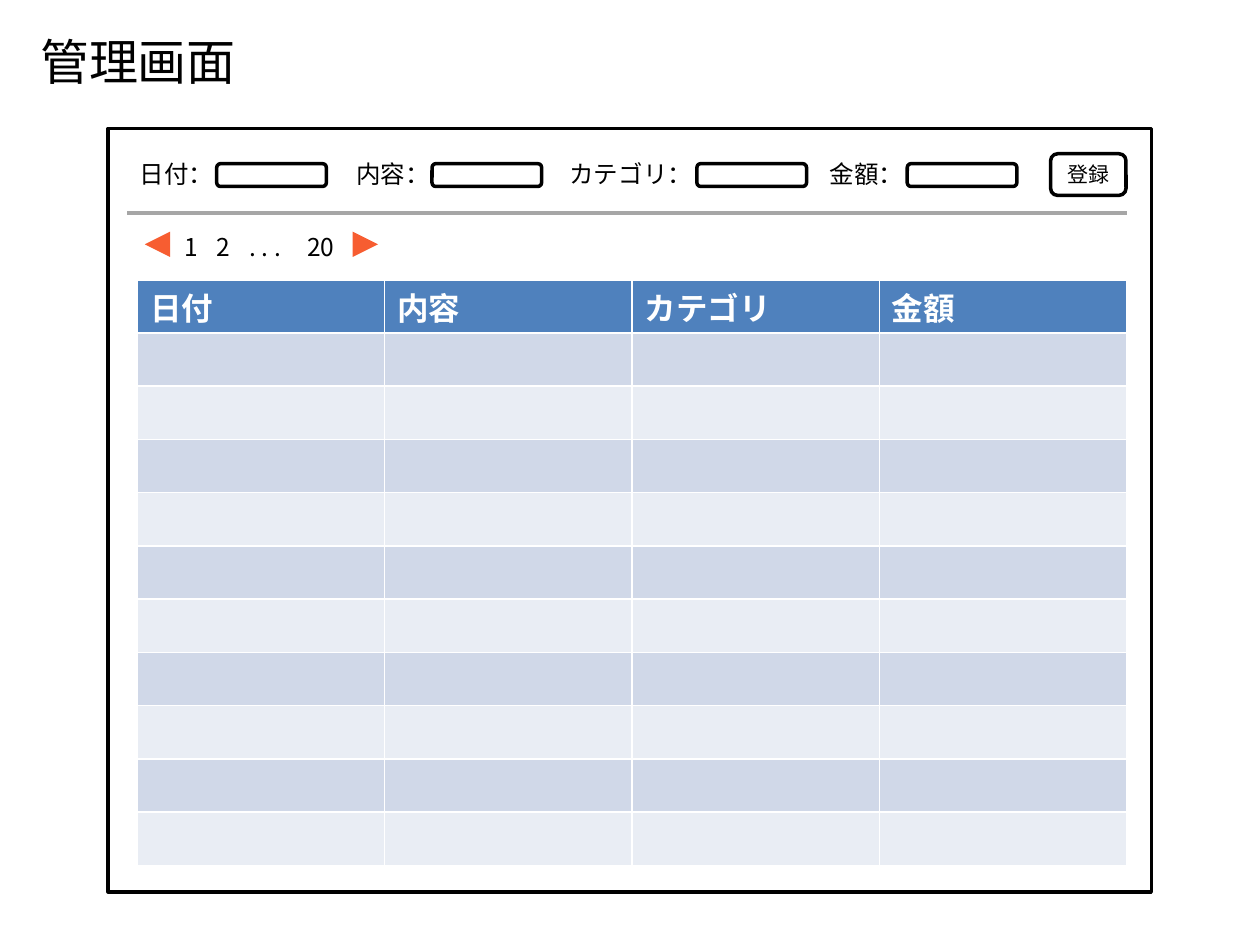
from pptx import Presentation
from pptx.dml.color import RGBColor
from pptx.enum.shapes import MSO_CONNECTOR, MSO_SHAPE
from pptx.enum.text import MSO_ANCHOR, PP_ALIGN
from pptx.oxml.ns import qn
from pptx.util import Cm, Pt

BLACK = RGBColor(0x00, 0x00, 0x00)
WHITE = RGBColor(0xFF, 0xFF, 0xFF)
GRAY = RGBColor(0xA6, 0xA6, 0xA6)
ORANGE = RGBColor(0xF7, 0x5D, 0x31)
HEADER_BLUE = RGBColor(0x4F, 0x81, 0xBD)
BANDS = (RGBColor(0xE9, 0xED, 0xF4), RGBColor(0xD0, 0xD8, 0xE8))

RECT = MSO_SHAPE.RECTANGLE
ROUNDED = MSO_SHAPE.ROUNDED_RECTANGLE
TRIANGLE = MSO_SHAPE.ISOSCELES_TRIANGLE
STRAIGHT = MSO_CONNECTOR.STRAIGHT
MIDDLE = MSO_ANCHOR.MIDDLE
CENTER = PP_ALIGN.CENTER


class Wireframe:
    """Draws screen elements on one page; all lengths are centimetres."""

    font = "Noto Sans CJK JP"
    line_width = Pt(2)

    def __init__(self, page):
        self.page = page

    def add_span(self, frame, text, size, color=BLACK, bold=False):
        para = frame.paragraphs[0]
        span = para.add_run()
        span.text = text
        span.font.name = self.font
        span.font.size = Pt(size)
        span.font.bold = bold
        span.font.color.rgb = color
        east_asian = span.font._element.makeelement(qn("a:ea"), {"typeface": self.font})
        span.font._element.find(qn("a:latin")).addnext(east_asian)
        return para

    def label(self, text, left, top, width, height=0.86, size=14):
        box = self.page.shapes.add_textbox(Cm(left), Cm(top), Cm(width), Cm(height))
        box.text_frame.word_wrap = False
        box.text_frame.vertical_anchor = MIDDLE
        self.add_span(box.text_frame, text, size)

    def outline(self, kind, left, top, width, height, text=None):
        shape = self.page.shapes.add_shape(kind, Cm(left), Cm(top), Cm(width), Cm(height))
        shape.shadow.inherit = False
        shape.fill.background()
        shape.line.color.rgb = BLACK
        shape.line.width = self.line_width
        if text:
            shape.text_frame.vertical_anchor = MIDDLE
            self.add_span(shape.text_frame, text, 12).alignment = CENTER

    def arrow(self, left, top, side, rotation):
        shape = self.page.shapes.add_shape(TRIANGLE, Cm(left), Cm(top), Cm(side), Cm(side))
        shape.shadow.inherit = False
        shape.rotation = rotation
        shape.fill.solid()
        shape.fill.fore_color.rgb = ORANGE
        shape.line.fill.background()

    def divider(self, left, right, top):
        line = self.page.shapes.add_connector(STRAIGHT, Cm(left), Cm(top), Cm(right), Cm(top))
        line.line.color.rgb = GRAY
        line.line.width = self.line_width
        properties = line._element.spPr
        properties.append(properties.makeelement(qn("a:effectLst"), {}))

    def table(self, headings, row_count, left, top, width, height):
        table = self.page.shapes.add_table(
            row_count, len(headings), Cm(left), Cm(top), Cm(width), Cm(height)
        ).table
        for index, row in enumerate(table.rows):
            for cell in row.cells:
                cell.fill.solid()
                cell.fill.fore_color.rgb = BANDS[index % 2] if index else HEADER_BLUE
        for column, heading in enumerate(headings):
            cell = table.cell(0, column)
            cell.margin_top, cell.margin_bottom = Cm(0.08), Cm(0)
            self.add_span(cell.text_frame, heading, 18, WHITE, True)


def main():
    deck = Presentation()
    deck.slide_width, deck.slide_height = Cm(25.4), Cm(19.05)
    screen = Wireframe(deck.slides.add_slide(deck.slide_layouts[6]))

    # Title
    screen.label("管理画面", 0.56, 0.51, 4.5, 1.45, 28)

    # Record list and window frame
    fields = (  # name, label left, label width, input left
        ("日付", 2.57, 2.01, 4.37),
        ("内容", 6.93, 2.01, 8.71),
        ("カテゴリ", 11.23, 3.0, 14.05),
        ("金額", 16.48, 2.01, 18.29),
    )
    screen.table([field[0] for field in fields], 11, 2.77, 5.64, 19.94, 11.81)
    screen.outline(RECT, 2.18, 2.59, 21.03, 15.39)

    # Entry form
    for name, label_left, label_width, input_left in fields:
        screen.outline(ROUNDED, input_left, 3.3, 2.21, 0.46)
        screen.label(name + "：", label_left, 3.07, label_width)
    screen.outline(ROUNDED, 21.18, 3.1, 1.52, 0.84, "登録")
    screen.divider(2.57, 22.71, 4.29)

    # Pager
    for text, left, width in (
        ("1", 3.48, 0.81), ("2", 4.11, 0.81), (". . .", 4.78, 1.37), ("20", 5.94, 1.14)
    ):
        screen.label(text, left, 4.54, width)
    for left, rotation in ((2.92, 270), (7.11, 90)):
        screen.arrow(left, 4.67, 0.51, rotation)

    deck.save("out.pptx")


if __name__ == "__main__":
    main()
